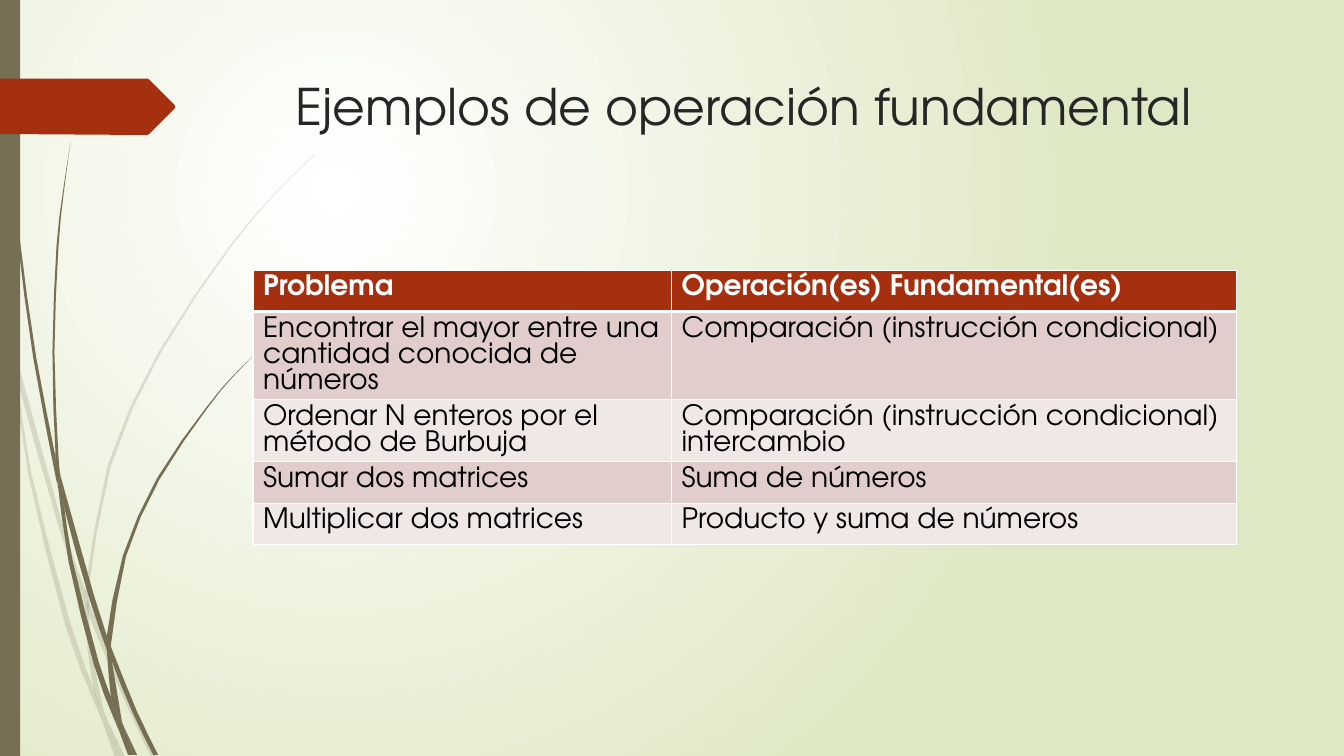
from lxml.etree import SubElement
from pptx import Presentation
from pptx.dml.color import RGBColor
from pptx.enum.shapes import MSO_SHAPE as SHAPE
from pptx.enum.text import MSO_ANCHOR as ANCHOR, PP_ALIGN as ALIGN
from pptx.oxml.ns import qn
from pptx.util import Inches, Pt

FONT = "TeX Gyre Adventor"
WHITE = RGBColor(0xFF, 0xFF, 0xFF)
BLACK = RGBColor(0x00, 0x00, 0x00)
GREEN = RGBColor(0xDF, 0xE8, 0xC4)
OLIVE = RGBColor(0x76, 0x6F, 0x54)
RUST = RGBColor(0xA5, 0x30, 0x10)
INK = RGBColor(0x26, 0x26, 0x26)
BANDS = (RGBColor(0xE1, 0xCD, 0xCC), RGBColor(0xF0, 0xE8, 0xE7))

ROWS = [
    ("Problema", "Operación(es) Fundamental(es)"),
    ("Encontrar el mayor entre una cantidad conocida de números",
     "Comparación (instrucción condicional)"),
    ("Ordenar N enteros por el método de Burbuja",
     "Comparación (instrucción condicional)\nintercambio"),
    ("Sumar dos matrices", "Suma de números"),
    ("Multiplicar dos matrices", "Producto y suma de números"),
]
COL_WIDTHS = (4.15, 5.6)
ROW_HEIGHT = 0.41

PALE_BLADES = [
    ([(0, 2.82), (0.09, 3.22), (0.11, 3.5)], [(0, 2.99), (0.1, 3.44), (0.11, 3.5)]),
    ([(0.14, 3.45), (0.62, 5.2), (0.85, 5.86)],
     [(0.14, 3.45), (0.17, 3.76), (0.58, 5.22), (0.84, 5.99)]),
    ([(0.88, 5.96), (0.92, 6.07), (1.27, 6.92), (1.55, 7.51)],
     [(0.88, 5.96), (0.88, 6.1), (1.23, 6.94), (1.5, 7.51)]),
    ([(1.05, 7.11), (1.24, 7.51)], [(1.05, 7.11), (1.19, 7.51)]),
    ([(0.11, 3.5), (0.17, 3.76), (0.31, 4.69), (0.7, 6.19), (0.93, 6.83), (0.99, 7.07), (1.01, 7.14)],
     [(0.11, 3.5), (0.28, 4.7), (0.65, 6.21), (0.92, 6.93), (1.01, 7.14)]),
    ([(0.84, 5.99), (0.88, 6.08), (0.91, 6.46), (1.03, 7.06), (1.05, 7.11)],
     [(0.84, 5.99), (0.87, 6.46), (0.93, 6.83), (0.96, 6.92), (1.05, 7.11)]),
    ([(3.12, 1.53), (2.89, 1.75), (2.68, 1.97), (2.28, 2.44), (1.58, 3.48), (1.07, 4.61),
      (0.85, 5.84), (0.85, 5.86), (0.88, 5.96)],
     [(3.12, 1.54), (2.9, 1.75), (2.68, 1.98), (2.29, 2.45), (1.6, 3.49), (1.1, 4.62),
      (0.88, 5.84), (0.88, 5.96)]),
    ([(1.01, 7.14), (1.19, 7.51)], [(1.01, 7.14), (1.14, 7.51)]),
    ([(0.85, 5.86), (0.88, 5.96), (0.88, 6.1)], [(0.85, 5.86), (0.84, 5.99), (0.88, 6.08)]),
    ([(0.93, 6.83), (0.96, 6.92), (1.05, 7.11), (1.19, 7.51)],
     [(0.93, 6.83), (0.99, 7.07), (1.01, 7.14), (1.19, 7.51)]),
]
DARK_BLADES = [
    ([(0.04, 0), (0.05, 0.48), (0.08, 1.09), (0.19, 2.32), (0.36, 3.55), (0.55, 4.53), (0.57, 4.81)],
     [(0.03, 0), (0.04, 0.48), (0.07, 1.1), (0.17, 2.33), (0.33, 3.55), (0.56, 4.77), (0.57, 4.81)]),
    ([(0.6, 4.72), (0.93, 5.9), (1.06, 6.31), (1.06, 6.45)],
     [(0.6, 4.72), (0.64, 5.05), (0.88, 5.92), (1.06, 6.45)]),
    ([(1.1, 6.41), (1.13, 6.49), (1.36, 7.06), (1.57, 7.49)],
     [(1.1, 6.41), (1.11, 6.56), (1.32, 7.08), (1.52, 7.49)]),
    ([(0.57, 4.77), (0.64, 5.05), (0.72, 5.56), (0.98, 6.57), (1.1, 6.91), (1.16, 7.17), (1.17, 7.22)],
     [(0.57, 4.77), (0.68, 5.57), (0.93, 6.59), (1.11, 7.08), (1.17, 7.22)]),
    ([(0.7, 1.41), (0.63, 1.93), (0.58, 2.45), (0.54, 3.49), (0.58, 4.53), (0.6, 4.72)],
     [(0.7, 1.41), (0.62, 1.93), (0.56, 2.45), (0.52, 3.49), (0.55, 4.49), (0.6, 4.72)]),
    ([(1.22, 7.19), (1.36, 7.49)], [(1.22, 7.19), (1.33, 7.49)]),
    ([(0.55, 4.49), (0.6, 4.72), (0.64, 5.05)], [(0.55, 4.49), (0.55, 4.53), (0.57, 4.77), (0.64, 5.05)]),
    ([(2.6, 3.44), (2.31, 3.73), (2.04, 4.05), (1.56, 4.74), (1.22, 5.51), (1.06, 6.31), (1.1, 6.41)],
     [(2.6, 3.44), (2.31, 3.74), (2.05, 4.06), (1.58, 4.76), (1.25, 5.52), (1.11, 6.33), (1.1, 6.41)]),
    ([(1.17, 7.22), (1.31, 7.49)], [(1.17, 7.22), (1.27, 7.49)]),
    ([(1.06, 6.45), (1.09, 6.51), (1.11, 6.56), (1.21, 7.16), (1.22, 7.19)],
     [(1.06, 6.45), (1.1, 6.91), (1.16, 7.06), (1.22, 7.19)]),
    ([(1.06, 6.31), (1.1, 6.41), (1.11, 6.56)], [(1.06, 6.31), (1.06, 6.45), (1.09, 6.51), (1.11, 6.56)]),
    ([(1.1, 6.91), (1.16, 7.06), (1.22, 7.19), (1.33, 7.49)],
     [(1.1, 6.91), (1.16, 7.17), (1.17, 7.22), (1.3, 7.49)]),
]
ARROW = [(0, 0.78), (1.46, 0.78), (1.48, 0.79), (1.73, 1.04), (1.74, 1.06),
         (1.73, 1.08), (1.48, 1.33), (1.46, 1.34), (0, 1.33)]


def smooth(points):
    """Halve each step of an edge along a Catmull-Rom curve."""
    padded = [points[0], *points, points[-1]]
    curve = []
    for a, b, c, d in zip(padded, padded[1:], padded[2:], padded[3:]):
        middle = tuple((9 * (q + r) - p - u) / 16 for p, q, r, u in zip(a, b, c, d))
        curve += [b, middle]
    return curve + [points[-1]]


def paint(sp, color, alpha=None):
    """Give a shape a flat fill without line or shadow."""
    sp.shadow.inherit = False
    sp.line.fill.background()
    sp.fill.solid()
    sp.fill.fore_color.rgb = color
    if alpha is not None:
        clr = sp.element.spPr.find(".//" + qn("a:srgbClr"))
        SubElement(clr, qn("a:alpha"), val=str(alpha * 1000))


def add_outline(s, points, color, alpha=None):
    """Draw a closed flat outline."""
    start, *rest = [(Inches(x), Inches(y)) for x, y in points]
    fb = s.shapes.build_freeform(*start)
    fb.add_line_segments(rest, close=True)
    paint(fb.convert_to_shape(), color, alpha)


def add_blades(s, blades, alpha=None):
    """Draw grass blades, each between its two edges."""
    for right, left in blades:
        add_outline(s, smooth(right) + smooth(left)[::-1], OLIVE, alpha)


def write(tf, text, size=20, color=BLACK, bold=False):
    """Write one left-aligned paragraph per line of text."""
    for i, line in enumerate(text.split("\n")):
        p = tf.add_paragraph() if i else tf.paragraphs[0]
        p.alignment = ALIGN.LEFT
        r = p.add_run()
        r.text = line
        r.font.name, r.font.size, r.font.bold = FONT, Pt(size), bold
        r.font.color.rgb = color


def set_background(s):
    """Set a radial gradient from white to green."""
    fill = s.background.fill
    fill.gradient()
    for stop, color, position in zip(fill.gradient_stops, (WHITE, GREEN), (0, 1)):
        stop.color.rgb = color
        stop.position = position
    grad = s.element.find(".//" + qn("a:gradFill"))
    grad.remove(grad.find(qn("a:lin")))
    radial = SubElement(grad, qn("a:path"), {"path": "circle"})
    SubElement(radial, qn("a:fillToRect"), l="50000", t="50000", r="100000", b="100000")


def set_borders(cell, **widths):
    """Draw white cell borders with the given widths in points."""
    tcPr = cell._tc.get_or_add_tcPr()
    for i, (side, width) in enumerate(widths.items()):
        ln = tcPr.makeelement(qn("a:ln" + side), {"w": str(Pt(width))})
        fill = SubElement(ln, qn("a:solidFill"))
        SubElement(fill, qn("a:srgbClr"), val=str(WHITE))
        tcPr.insert(i, ln)


def add_problem_table(s):
    """Add the table of problems and their operations."""
    table = s.shapes.add_table(
        len(ROWS), len(COL_WIDTHS), Inches(2.51), Inches(2.68),
        Inches(sum(COL_WIDTHS)), Inches(ROW_HEIGHT * len(ROWS))).table
    for col, width in zip(table.columns, COL_WIDTHS):
        col.width = Inches(width)
    for i, row in enumerate(ROWS):
        header = i == 0
        for j, text in enumerate(row):
            cell = table.cell(i, j)
            cell.fill.solid()
            cell.fill.fore_color.rgb = RUST if header else BANDS[(i - 1) % 2]
            set_borders(cell, L=1, R=1, T=3 if i == 1 else 1, B=3 if header else 1)
            write(cell.text_frame, text, color=WHITE if header else BLACK, bold=header)


def set_title(s, text):
    """Place and format the title."""
    title = s.shapes.title
    title.left, title.top = Inches(2.83), Inches(0.69)
    title.width, title.height = Inches(9.75), Inches(1.4)
    title.text_frame.vertical_anchor = ANCHOR.TOP
    write(title.text_frame, text, size=36, color=INK)


def main():
    """Build and save the slide."""
    prs = Presentation()
    prs.slide_width, prs.slide_height = Inches(13.33), Inches(7.5)
    s = prs.slides.add_slide(prs.slide_layouts[5])
    set_background(s)
    add_blades(s, PALE_BLADES, alpha=20)
    add_blades(s, DARK_BLADES)
    band = s.shapes.add_shape(SHAPE.RECTANGLE, 0, 0, Inches(0.2), prs.slide_height)
    paint(band, OLIVE)
    add_outline(s, ARROW, RUST)
    set_title(s, "Ejemplos de operación fundamental")
    add_problem_table(s)
    prs.save("out.pptx")


if __name__ == "__main__":
    main()
